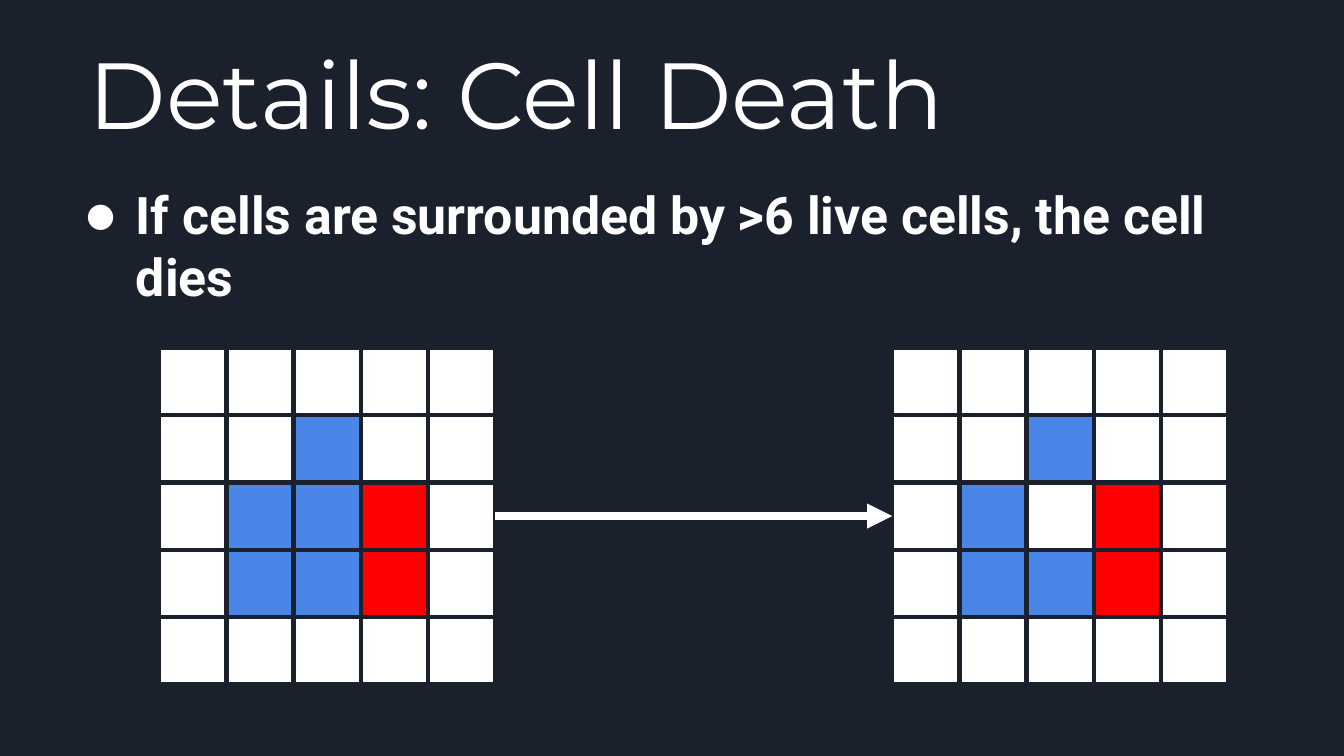
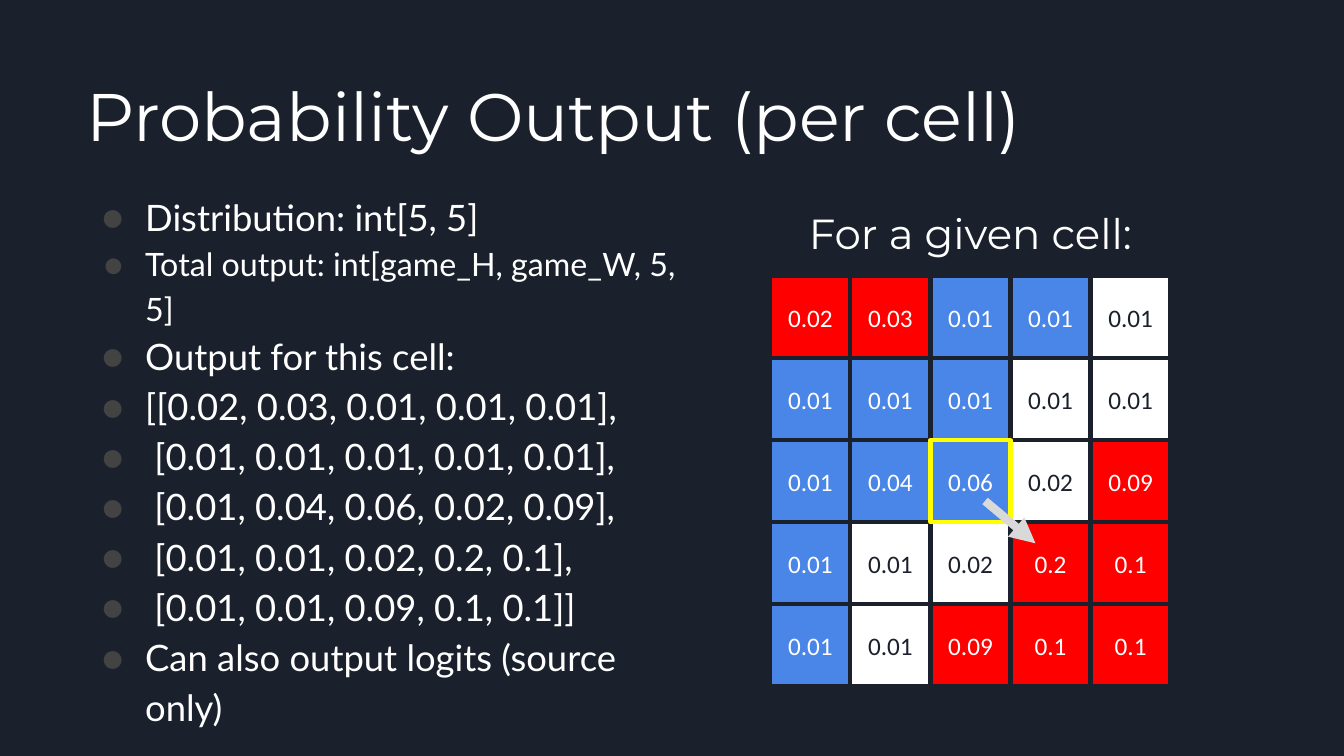
from dataclasses import dataclass

import pptx
import pptx.util
import pptx.dml.color
import pptx.enum.shapes
import pptx.enum.text
import pptx.oxml.ns
from lxml import etree

SCALE = 9144
SIDE = 5
INK = {"back": "1B212C", "white": "FFFFFF", "blue": "4A86E8", "red": "FF0000",
       "mark": "FFFF00", "arrow": "D9D9D9", "dot": "434343"}
FILLS = {"W": "white", "B": "blue", "R": "red"}
ALIGN = pptx.enum.text.PP_ALIGN
ANCHOR = pptx.enum.text.MSO_ANCHOR
SIZING = pptx.enum.text.MSO_AUTO_SIZE


@dataclass(frozen=True)
class Box:
    left: int
    top: int
    width: int
    height: int

    def place(self) -> list[int]:
        return [px(n) for n in (self.left, self.top, self.width, self.height)]


@dataclass(frozen=True)
class Style:
    font: str
    size: int
    color: str = "white"
    bold: bool = False


@dataclass(frozen=True)
class Item:
    text: str
    style: Style
    hang: int
    dot: str
    space: float = 1.0


@dataclass(frozen=True)
class Grid:
    box: Box
    fills: tuple[str, ...]
    texts: tuple[tuple[str, ...], ...] = ()


BEFORE = Grid(Box(158, 345, 333, 334), ("WWWWW", "WWBWW", "WBBRW", "WBBRW", "WWWWW"))
AFTER = Grid(Box(885, 345, 333, 334), ("WWWWW", "WWBWW", "WBWRW", "WBBRW", "WWWWW"))
ODDS = Grid(
    Box(764, 274, 397, 407),
    ("RRBBW", "BBBWW", "BBBWR", "BWWRR", "BWRRR"),
    (("0.02", "0.03", "0.01", "0.01", "0.01"),
     ("0.01", "0.01", "0.01", "0.01", "0.01"),
     ("0.01", "0.04", "", "0.02", "0.09"),
     ("0.01", "0.01", "0.02", "0.2", "0.1"),
     ("0.01", "0.01", "0.09", "0.1", "0.1")))
NOTES = (
    "Distribution: int[5, 5]",
    "Total output: int[game_H, game_W, 5, 5]",
    "Output for this cell:",
    "[[0.02, 0.03, 0.01, 0.01, 0.01],",
    " [0.01, 0.01, 0.01, 0.01, 0.01],",
    " [0.01, 0.04, 0.06, 0.02, 0.09],",
    " [0.01, 0.01, 0.02, 0.2, 0.1],",
    " [0.01, 0.01, 0.09, 0.1, 0.1]]",
    "Can also output logits (source only)")


def px(count: float) -> int:
    return round(count * SCALE)


def rgb(name: str) -> pptx.dml.color.RGBColor:
    return pptx.dml.color.RGBColor.from_string(INK[name])


def add_tag(parent, name: str, **attrs: str):
    return etree.SubElement(parent, pptx.oxml.ns.qn(name), attrs)


def style_para(para, style: Style) -> None:
    for run in para.runs:
        run.font.name = style.font
        run.font.size = pptx.util.Pt(style.size)
        run.font.bold = style.bold
        run.font.color.rgb = rgb(style.color)


def set_frame(frame, inset: int, anchor, sizing=SIZING.NONE) -> None:
    frame.word_wrap = True
    frame.auto_size = sizing
    frame.vertical_anchor = anchor
    frame.margin_left = frame.margin_right = px(inset)
    frame.margin_top = frame.margin_bottom = px(inset)


def set_head(shape, text: str, size: int, align) -> None:
    frame = shape.text_frame
    set_frame(frame, 13, ANCHOR.MIDDLE)
    frame.text = text
    frame.paragraphs[0].alignment = align
    style_para(frame.paragraphs[0], Style("Montserrat", size))


def add_page(deck, text: str, box: Box, size: int):
    page = deck.slides.add_slide(deck.slide_layouts[5])
    title = page.shapes.title
    title.left, title.top, title.width, title.height = box.place()
    set_head(title, text, size, ALIGN.LEFT)
    return page


def add_list(page, box: Box, items: list[Item], inset: int, sizing=SIZING.NONE) -> None:
    frame = page.shapes.add_textbox(*box.place()).text_frame
    set_frame(frame, inset, ANCHOR.TOP, sizing)
    for index, item in enumerate(items):
        para = frame.add_paragraph() if index else frame.paragraphs[0]
        para.text = item.text
        para.line_spacing = item.space
        style_para(para, item.style)
        props = para._p.get_or_add_pPr()
        props.set("marL", str(px(50)))
        props.set("indent", str(-px(item.hang)))
        color = add_tag(props, "a:buClr")
        add_tag(color, "a:srgbClr", val=INK[item.dot])
        add_tag(props, "a:buFont", typeface="Lato")
        add_tag(props, "a:buChar", char="●")


def add_cell(page, place: list[int], fill: str, line: str, text: str):
    cell = page.shapes.add_shape(pptx.enum.shapes.MSO_SHAPE.RECTANGLE, *place)
    cell.shadow.inherit = False
    if fill:
        cell.fill.solid()
        cell.fill.fore_color.rgb = rgb(fill)
    else:
        cell.fill.background()
    cell.line.color.rgb = rgb(line)
    cell.line.width = pptx.util.Pt(3)
    if text:
        frame = cell.text_frame
        frame.text = text
        frame.vertical_anchor = ANCHOR.MIDDLE
        frame.paragraphs[0].alignment = ALIGN.CENTER
        color = "back" if fill == "white" else "white"
        style_para(frame.paragraphs[0], Style("Calibri", 18, color))
    return cell


def spot(box: Box, row: int, col: int) -> list[int]:
    wide, high = box.width / SIDE, box.height / SIDE
    return [px(n) for n in (box.left + col * wide, box.top + row * high, wide, high)]


def add_grid(page, grid: Grid) -> list[list]:
    return [[add_cell(page, spot(grid.box, row, col), FILLS[code], "back",
                      grid.texts[row][col] if grid.texts else "")
             for col, code in enumerate(codes)]
            for row, codes in enumerate(grid.fills)]


def add_arrow(page, start: tuple[int, int], end: tuple[int, int], color: str):
    kind = pptx.enum.shapes.MSO_CONNECTOR.STRAIGHT
    arrow = page.shapes.add_connector(kind, *(px(n) for n in start + end))
    arrow.line.color.rgb = rgb(color)
    arrow.line.width = pptx.util.Pt(6)
    add_tag(arrow.line._get_or_add_ln(), "a:tailEnd", type="triangle")
    add_tag(arrow._element.spPr, "a:effectLst")
    return arrow


def add_death(deck) -> None:
    page = add_page(deck, "Details: Cell Death", Box(75, 11, 1176, 160), 67)
    rule = Item("If cells are surrounded by >6 live cells, the cell dies",
                Style("Roboto", 37, bold=True), 50, "white")
    add_list(page, Box(75, 171, 1213, 82), [rule], 10, SIZING.SHAPE_TO_FIT_TEXT)
    old, new = add_grid(page, BEFORE), add_grid(page, AFTER)
    arrow = add_arrow(page, (491, 512), (885, 512), "white")
    arrow.begin_connect(old[2][4], 3)
    arrow.end_connect(new[2][0], 1)


def add_odds(deck) -> None:
    page = add_page(deck, "Probability Output (per cell)", Box(73, 65, 1193, 98), 48)
    label = page.shapes.add_textbox(*Box(676, 187, 573, 87).place())
    set_head(label, "For a given cell:", 30, ALIGN.CENTER)
    add_grid(page, ODDS)
    add_cell(page, spot(ODDS.box, 2, 2), "", "mark", "0.06")
    add_arrow(page, (977, 497), (1027, 539), "arrow")
    items = [Item(text, Style("Lato", 23 if small else 26), 41 if small else 43, "dot", 1.15)
             for text in NOTES for small in [text.startswith("Total")]]
    add_list(page, Box(81, 174, 628, 508), items, 13)


def main() -> None:
    deck = pptx.Presentation()
    deck.slide_width, deck.slide_height = px(1333), px(750)
    fill = deck.slide_master.background.fill
    fill.solid()
    fill.fore_color.rgb = rgb("back")
    add_death(deck)
    add_odds(deck)
    deck.save("out.pptx")


if __name__ == "__main__":
    main()
